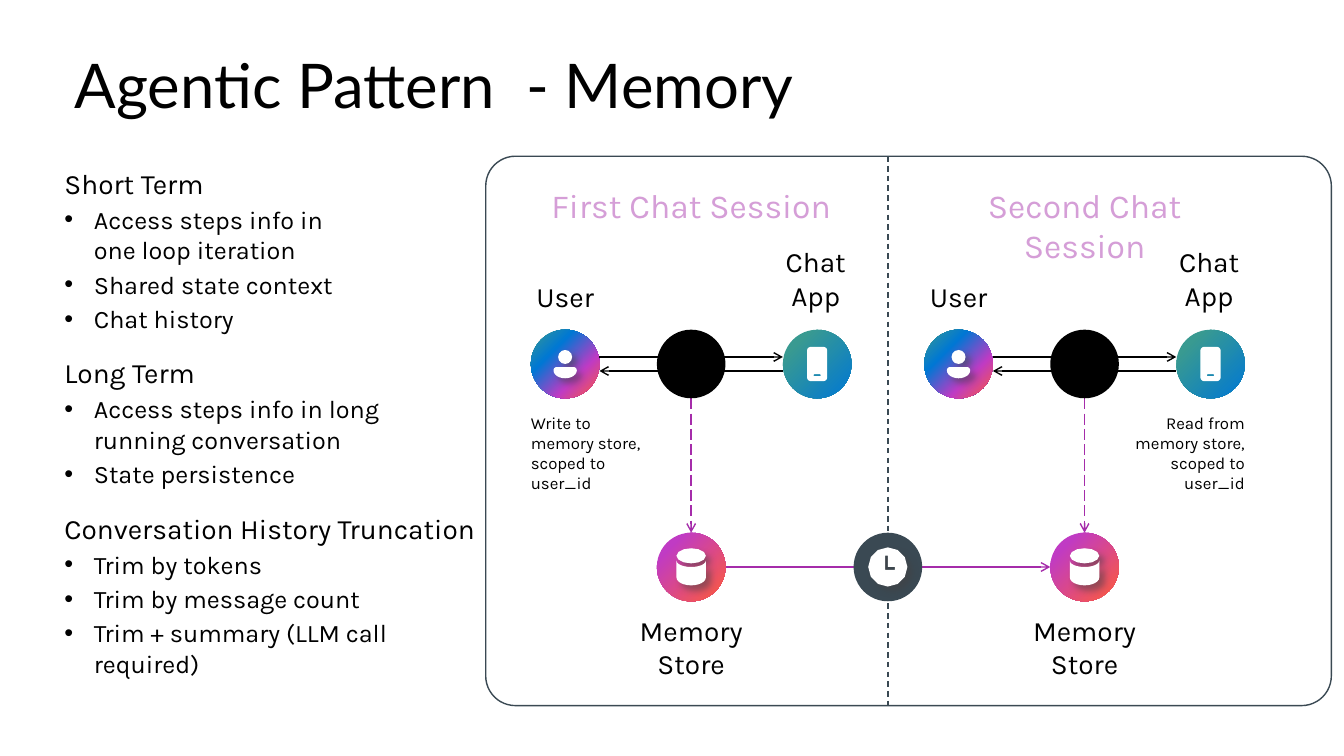
from math import cos, radians, sin

from lxml import etree
from pptx import Presentation
from pptx.dml.color import RGBColor
from pptx.enum.dml import MSO_LINE
from pptx.enum.shapes import MSO_CONNECTOR, MSO_SHAPE
from pptx.enum.text import MSO_ANCHOR as ANCHOR, MSO_AUTO_SIZE, PP_ALIGN as ALIGN
from pptx.oxml import parse_xml
from pptx.oxml.ns import nsdecls, qn
from pptx.util import Pt

COLORS = {
    "ink": "000000", "white": "FFFFFF", "slate": "3A4953", "session": "D59ED7",
    "memory": "A52CAA", "shadow": "454142", "coral": "FF5C39", "purple": "C03BC4",
    "blue": "0078D4", "teal": "399A91",
}
RGB = {name: RGBColor.from_string(value) for name, value in COLORS.items()}
RADIUS = 24.5
HUB_GAP = 90
SESSION_GAP = 281
FIRST_HUB = 493.7
CHAT_Y = 260
STORE_Y = 405


def outline(*arcs):
    return [
        (cx + rx * cos(radians(start + (end - start) * step / 12)),
         cy + ry * sin(radians(start + (end - start) * step / 12)))
        for cx, cy, rx, ry, start, end in arcs for step in range(13)
    ]


person = [
    outline((-6, 4.6, 2.3, 2.4, 180, 270), (6, 4.6, 2.3, 2.4, 270, 360),
            (0, 4.6, 8.3, 5.6, 0, 180)),
    outline((0, -5, 5, 5, 0, 360)),
]
phone = [
    outline((4.5, 9.5, 2.7, 2.7, 0, 90), (-4.5, 9.5, 2.7, 2.7, 90, 180),
            (-4.5, -9.5, 2.7, 2.7, 180, 270), (4.5, -9.5, 2.7, 2.7, 270, 360)),
    outline((1.9, 8, 0.7, 0.7, -90, 90), (-1.9, 8, 0.7, 0.7, 90, 270)),
]
database = [
    outline((0, -8, 10.5, 5.4, 0, 360)),
    outline((0, 7.5, 10.5, 5.6, 0, 180), (0, -4.5, 10.5, 4.5, 180, 0)),
]
clock = [
    outline((0, 0, 14, 14, 0, 360)),
    [(-2, -8), (0, -8), (0, 0), (5, 0), (5, 2), (-2, 2)],
]

user_fill = [(0, "coral"), (32, "purple"), (68, "blue"), (100, "teal")]
app_fill = [(0, "blue"), (80, "teal")]
store_fill = [(0, "coral"), (80, "purple")]

prs = Presentation()
prs.slide_width, prs.slide_height = Pt(960), Pt(540)
slide = prs.slides.add_slide(prs.slide_layouts[1])
shapes = slide.shapes

title = shapes.title
title.left, title.top, title.width, title.height = Pt(46), Pt(36), Pt(868), Pt(55)
title.text_frame.text = "Agentic Pattern  - Memory"
title.text_frame.auto_size = MSO_AUTO_SIZE.NONE
title.text_frame.vertical_anchor = ANCHOR.TOP
heading = title.text_frame.paragraphs[0]
heading.alignment = ALIGN.LEFT
heading.line_spacing = 0.9
heading.font.name, heading.font.size = "Lato", Pt(44)
heading.font.color.rgb = RGB["ink"]

memory_kinds = [
    ("Short Term",
     ["Access steps info in\vone loop iteration", "Shared state context", "Chat history"]),
    ("Long Term",
     ["Access steps info in long\vrunning conversation", "State persistence"]),
    ("Conversation History Truncation",
     ["Trim by tokens", "Trim by message count", "Trim + summary (LLM call required)"]),
]
body = slide.placeholders[1]
body.left, body.top, body.width, body.height = Pt(46), Pt(118.8), Pt(305.3), Pt(347)
overview = body.text_frame
overview.auto_size = MSO_AUTO_SIZE.NONE
overview.margin_left = overview.margin_right = overview.margin_top = overview.margin_bottom = 0
for number, (kind, points) in enumerate(memory_kinds):
    for position, text in enumerate([kind, *points]):
        first = number == 0 and position == 0
        entry = overview.paragraphs[0] if first else overview.add_paragraph()
        entry.text = text
        entry.level = 1 if position else 0
        indent = 21 if position else 0
        props = entry._p.get_or_add_pPr()
        props.set("marL", str(Pt(indent)))
        props.set("indent", str(Pt(-indent)))
        if position:
            etree.SubElement(props, qn("a:buFont")).set("typeface", "Arial")
            etree.SubElement(props, qn("a:buChar")).set("char", "•")
        else:
            etree.SubElement(props, qn("a:buNone"))
        entry.space_before = Pt(0 if first else 3 if position else 16)
        entry.font.name, entry.font.size = "Karla", Pt(18 if position else 20)
        entry.font.color.rgb = RGB["ink"]

frame = shapes.add_shape(MSO_SHAPE.ROUNDED_RECTANGLE, Pt(347), Pt(111.6), Pt(604), Pt(392.4))
frame.adjustments[0] = 0.054
frame.fill.background()
frame.line.color.rgb = RGB["slate"]
frame.line.width = Pt(1)
frame.shadow.inherit = False

clock_x = FIRST_HUB + SESSION_GAP / 2
sessions = [
    ("First Chat Session", "Write to\vmemory store, scoped to user_id", ALIGN.LEFT),
    ("Second Chat Session", "Read from memory store, scoped to user_id", ALIGN.RIGHT),
]
links = [
    (clock_x, 111.6, clock_x, 504, "slate", MSO_LINE.DASH, False),
    (FIRST_HUB + RADIUS, STORE_Y, FIRST_HUB + SESSION_GAP - RADIUS, STORE_Y, "memory", None, True),
]
nodes = [(clock_x, STORE_Y, [(0, "slate")], clock)]
labels = []
for number, (name, note, side) in enumerate(sessions):
    hub = FIRST_HUB + number * SESSION_GAP
    user, app = hub - HUB_GAP, hub + HUB_GAP
    note_x = user - RADIUS if side == ALIGN.LEFT else app + RADIUS - 96.5
    links += [
        (user + RADIUS, 255, app - RADIUS, 255, "ink", None, True),
        (app - RADIUS, 265, user + RADIUS, 265, "ink", None, True),
        (hub, CHAT_Y + RADIUS, hub, STORE_Y - RADIUS, "memory", MSO_LINE.LONG_DASH, True),
    ]
    nodes += [
        (user, CHAT_Y, user_fill, person),
        (hub, CHAT_Y, [(0, "ink")], []),
        (app, CHAT_Y, app_fill, phone),
        (hub, STORE_Y, store_fill, database),
    ]
    labels += [
        (name, hub - 113, 132, 226, 29, 24, "session", ALIGN.CENTER),
        ("User", user - RADIUS, 199.4, 49, 24, 20, "ink", ALIGN.CENTER),
        ("Chat App", app - RADIUS - 1, 175, 49, 48, 20, "ink", ALIGN.CENTER),
        ("Memory Store", hub - 42.5, 438, 85, 48, 20, "ink", ALIGN.CENTER),
        (note, note_x, 294.5, 96.5, 44, 12, "ink", side),
    ]

for x1, y1, x2, y2, color, dash, arrow in links:
    link = shapes.add_connector(MSO_CONNECTOR.STRAIGHT, Pt(x1), Pt(y1), Pt(x2), Pt(y2))
    link.line.color.rgb = RGB[color]
    link.line.width = Pt(1)
    if dash:
        link.line.dash_style = dash
    if arrow:
        etree.SubElement(link.line._get_or_add_ln(), qn("a:tailEnd")).set("type", "arrow")
    etree.SubElement(link._element.spPr, qn("a:effectLst"))

for x, y, stops, icon in nodes:
    disc = shapes.add_shape(MSO_SHAPE.OVAL, Pt(x - RADIUS), Pt(y - RADIUS),
                            Pt(2 * RADIUS), Pt(2 * RADIUS))
    disc.line.fill.background()
    disc.shadow.inherit = False
    if len(stops) == 1:
        disc.fill.solid()
        disc.fill.fore_color.rgb = RGB[stops[0][1]]
    else:
        marks = "".join(
            f'<a:gs pos="{at * 1000}"><a:srgbClr val="{COLORS[color]}"/></a:gs>'
            for at, color in stops)
        disc._element.spPr.insert(2, parse_xml(
            f'<a:gradFill {nsdecls("a")}><a:gsLst>{marks}</a:gsLst><a:path path="circle">'
            '<a:fillToRect l="100000" t="100000"/></a:path></a:gradFill>'))
    if not icon:
        continue
    contours = [[(Pt(x + dx), Pt(y + dy)) for dx, dy in contour] for contour in icon]
    builder = shapes.build_freeform(*contours[0][0])
    builder.add_line_segments(contours[0][1:], close=True)
    for contour in contours[1:]:
        builder.move_to(*contour[0])
        builder.add_line_segments(contour[1:], close=True)
    symbol = builder.convert_to_shape()
    symbol.fill.solid()
    symbol.fill.fore_color.rgb = RGB["white"]
    symbol.line.fill.background()
    symbol.shadow.inherit = False
    if icon is not phone:
        symbol._element.spPr.find(qn("a:effectLst")).append(parse_xml(
            f'<a:outerShdw {nsdecls("a")} blurRad="{Pt(5)}" dist="{Pt(5)}" dir="2700000">'
            f'<a:srgbClr val="{COLORS["shadow"]}"><a:alpha val="50000"/></a:srgbClr>'
            '</a:outerShdw>'))

for text, left, top, width, height, size, color, side in labels:
    caption = shapes.add_textbox(Pt(left), Pt(top), Pt(width), Pt(height)).text_frame
    caption.word_wrap = True
    caption.margin_left = caption.margin_right = caption.margin_top = caption.margin_bottom = 0
    words = caption.paragraphs[0]
    words.text = text
    words.alignment = side
    words.font.name, words.font.size = "Karla", Pt(size)
    words.font.color.rgb = RGB[color]

prs.save("out.pptx")
